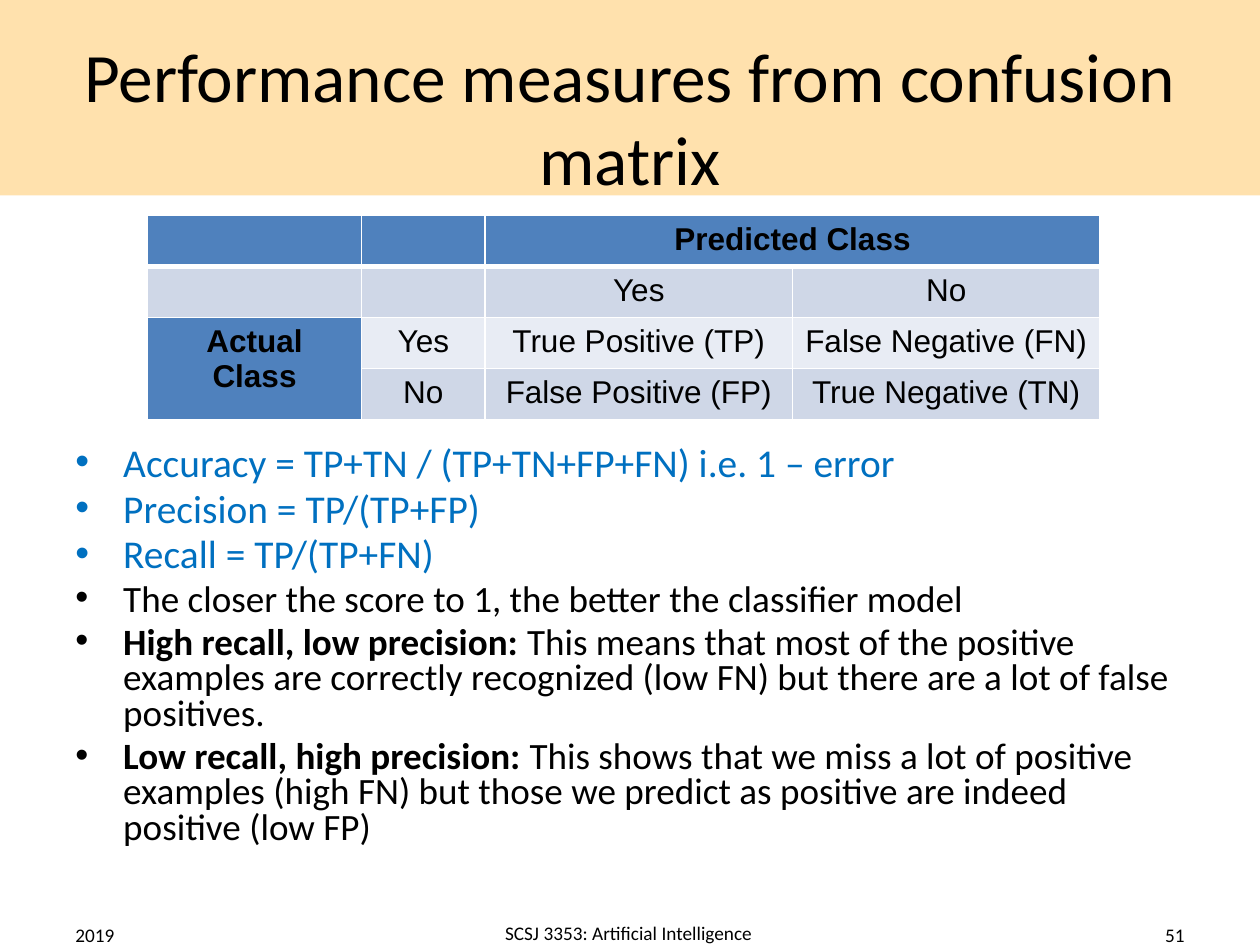
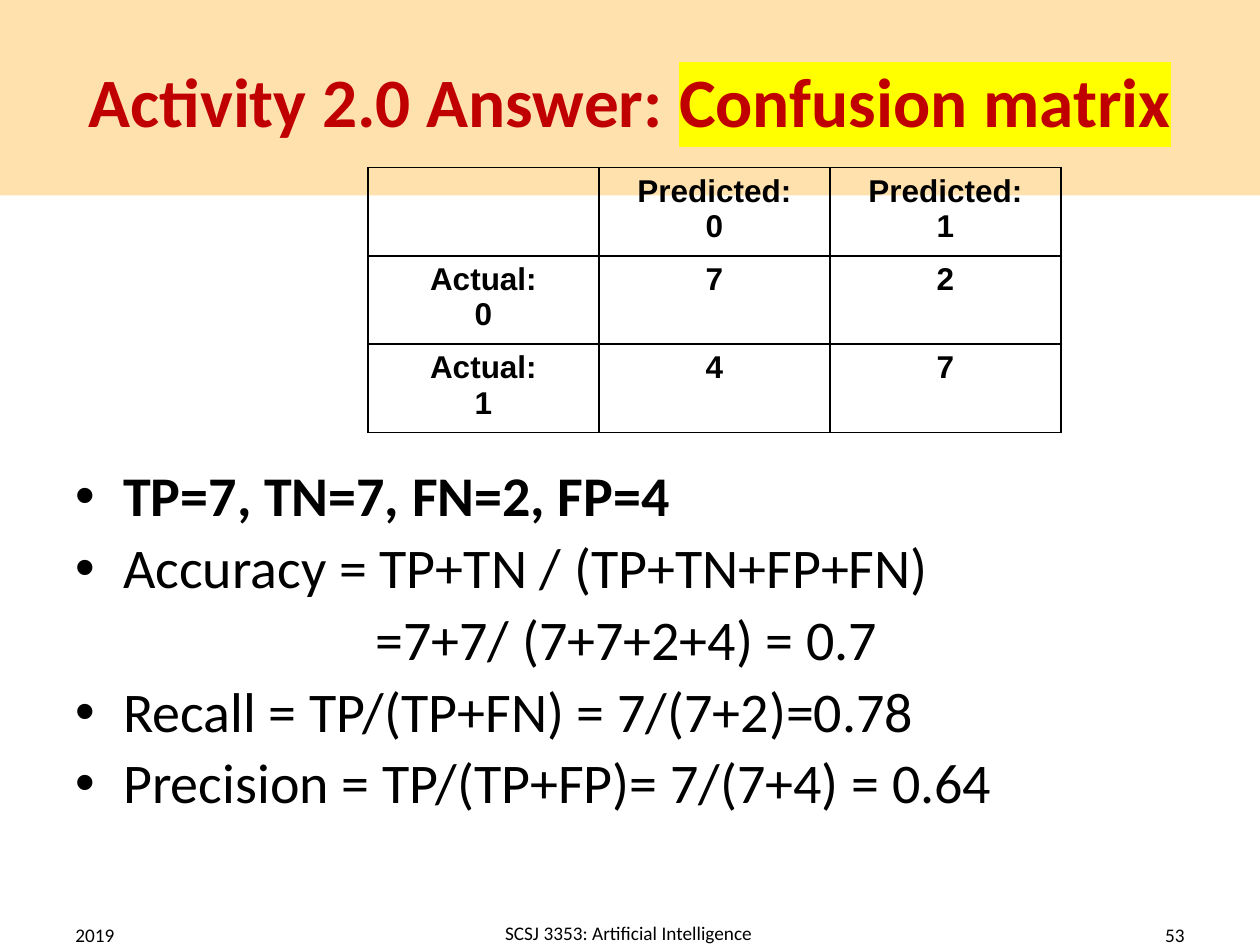
from dataclasses import dataclass

import lxml.etree
import pptx
import pptx.dml.color
import pptx.enum.shapes
import pptx.enum.text
import pptx.oxml
import pptx.oxml.ns
import pptx.util

Inches = pptx.util.Inches
Pt = pptx.util.Pt
qn = pptx.oxml.ns.qn
ALIGN = pptx.enum.text.PP_ALIGN
ANCHOR = pptx.enum.text.MSO_ANCHOR


@dataclass(frozen=True)
class Theme:
    """Colours, fonts and type sizes shared by the slides."""
    ink: str = "000000"
    paper: str = "FFFFFF"
    band: str = "FFE1AD"
    answer: str = "C00000"
    marker: str = "FFFF00"
    formula: str = "0070C0"
    header: str = "4F81BD"
    row_dark: str = "CFD7E7"
    row_light: str = "E8ECF4"
    text_font: str = "Calibri"
    table_font: str = "Arial"
    title_size: float = 39.6
    formula_size: float = 22.5
    note_size: float = 21.2
    answer_size: float = 32
    table_size: float = 18
    footer_size: float = 11
    hanging: float = 0.38


THEME = Theme()


def rgb(colour):
    """Turn a hex string into a colour."""
    return pptx.dml.color.RGBColor.from_string(colour)


def add_child(parent, tag, **attributes):
    """Append a drawing element with attributes."""
    return lxml.etree.SubElement(parent, qn(tag), attributes)


def write(paragraph, text, size, color=THEME.ink, font=THEME.text_font, bold=False, highlight=None):
    """Add a formatted run to a paragraph."""
    run = paragraph.add_run()
    run.text = text
    run.font.size = Pt(size)
    run.font.bold = bold
    run.font.color.rgb = rgb(color)
    run.font.name = font
    if highlight:
        properties = run.font._element
        mark = add_child(properties, "a:highlight")
        add_child(mark, "a:srgbClr", val=highlight)
        properties.find(qn("a:solidFill")).addnext(mark)


def add_frame(slide, box, anchor=ANCHOR.MIDDLE):
    """Add a wrapping text box and return its text frame."""
    frame = slide.shapes.add_textbox(*map(Inches, box)).text_frame
    frame.word_wrap = True
    frame.vertical_anchor = anchor
    return frame


def add_line(slide, box, runs, align=ALIGN.CENTER, **style):
    """Write one aligned paragraph of (text, overrides) runs in a box."""
    paragraph = add_frame(slide, box).paragraphs[0]
    paragraph.alignment = align
    for text, overrides in runs:
        write(paragraph, text, **{**style, **overrides})


def add_band(slide, box):
    """Draw the coloured band behind the title."""
    band = slide.shapes.add_shape(pptx.enum.shapes.MSO_SHAPE.RECTANGLE, *map(Inches, box))
    band.shadow.inherit = False
    band.fill.solid()
    band.fill.fore_color.rgb = rgb(THEME.band)
    band.line.fill.background()


def add_footer(slide, box, number):
    """Place year, course and slide number across a box."""
    left, top, width, height = box
    side = 2.33
    parts = [
        ("2019", (left, top, side, height), ALIGN.LEFT),
        ("SCSJ 3353: Artificial Intelligence", (left + 2.2, top + 0.02, 4.58, 0.33), ALIGN.CENTER),
        (str(number), (left + width - side, top, side, height), ALIGN.RIGHT),
    ]
    for text, part_box, align in parts:
        add_line(slide, part_box, [(text, {})], align, size=THEME.footer_size)


def set_indent(paragraph, left, first, bullet_color=None):
    """Indent a paragraph and give it a bullet if a colour is set."""
    properties = paragraph._p.get_or_add_pPr()
    properties.set("marL", str(Inches(left)))
    properties.set("indent", str(Inches(first)))
    if bullet_color:
        add_child(add_child(properties, "a:buClr"), "a:srgbClr", val=bullet_color)
        add_child(properties, "a:buFont", typeface="Arial")
        add_child(properties, "a:buChar", char="•")
    else:
        add_child(properties, "a:buNone")


def add_body(slide, box, items, line_spacing):
    """Write items of (runs, style, continuation indent) as a bulleted list."""
    frame = add_frame(slide, box, ANCHOR.TOP)
    for index, (runs, style, continued) in enumerate(items):
        paragraph = frame.add_paragraph() if index else frame.paragraphs[0]
        if continued:
            set_indent(paragraph, continued, 0)
        else:
            set_indent(paragraph, THEME.hanging, -THEME.hanging, style.get("color", THEME.ink))
        paragraph.line_spacing = line_spacing
        if index:
            paragraph.space_before = Pt(round(style["size"] * 0.2, 1))
        for text, bold in runs:
            write(paragraph, text, bold=bold, **style)


def set_borders(cell, color, top=1, bottom=1):
    """Draw the four borders of a cell."""
    properties = cell._tc.get_or_add_tcPr()
    for index, (side, width) in enumerate({"L": 1, "R": 1, "T": top, "B": bottom}.items()):
        border = add_child(properties, f"a:ln{side}", w=str(Pt(width)))
        add_child(add_child(border, "a:solidFill"), "a:srgbClr", val=color)
        properties.insert(index, border)


def add_matrix(slide, box, rows, widths):
    """Add an unstyled table of centred text and return it."""
    table = slide.shapes.add_table(len(rows), len(widths), *map(Inches, box)).table
    table.first_row = table.horz_banding = False
    for column, width in zip(table.columns, widths):
        column.width = Inches(width)
    for row, texts in zip(table.rows, rows):
        row.height = Inches(box[3] / len(rows))
        for cell, text in zip(row.cells, texts):
            cell.fill.background()
            frame = cell.text_frame
            for index, line in enumerate(text.split("\n") if text else []):
                paragraph = frame.add_paragraph() if index else frame.paragraphs[0]
                paragraph.alignment = ALIGN.CENTER
                bold = "Class" in text or len(widths) == 3
                write(paragraph, line, THEME.table_size, font=THEME.table_font, bold=bold)
    return table


def add_measures_matrix(slide, box):
    """Add the banded matrix that names the four outcomes."""
    rows = [
        ["", "", "Predicted Class", ""],
        ["", "", "Yes", "No"],
        ["Actual Class", "Yes", "True Positive (TP)", "False Negative (FN)"],
        ["", "No", "False Positive (FP)", "True Negative (TN)"],
    ]
    table = add_matrix(slide, box, rows, [1.7, 0.98, 2.44, 2.44])
    row_fills = [THEME.header, THEME.row_dark, THEME.row_light, THEME.row_dark]
    for row, fill in enumerate(row_fills):
        for column in range(len(rows[row])):
            cell = table.cell(row, column)
            cell.fill.solid()
            cell.fill.fore_color.rgb = rgb(THEME.header if row > 1 and column == 0 else fill)
            set_borders(cell, THEME.paper, top=3 if row == 1 else 1, bottom=3 if row == 0 else 1)
    table.cell(0, 2).merge(table.cell(0, 3))
    table.cell(2, 0).merge(table.cell(3, 0))


def add_answer_matrix(slide, box):
    """Add the ruled matrix with the counted outcomes."""
    rows = [
        ["", "Predicted:\n0", "Predicted:\n1"],
        ["Actual:\n0", "7", "2"],
        ["Actual:\n1", "4", "7"],
    ]
    table = add_matrix(slide, box, rows, [box[2] / 3] * 3)
    for cell in table.iter_cells():
        set_borders(cell, THEME.ink)


def add_slide(deck, title_top, title_runs, number, **title_style):
    """Add a slide with the shared band, title and footer."""
    slide = deck.slides.add_slide(deck.slide_layouts[6])
    add_band(slide, (0, 0, 10, 1.55))
    add_line(slide, (0.5, title_top, 9, 1.25), title_runs, size=THEME.title_size, **title_style)
    add_footer(slide, (0.5, 7.22, 9, 0.4), number)
    return slide


def build_measures(deck):
    """Build the slide that defines the performance measures."""
    slide = add_slide(deck, 0.3, [("Performance measures from confusion matrix", {})], 51)
    formula = {"size": THEME.formula_size, "color": THEME.formula}
    note = {"size": THEME.note_size}
    items = [
        ([("Accuracy = TP+TN / (TP+TN+FP+FN) i.e. 1 – error", False)], formula, None),
        ([("Precision = TP/(TP+FP)", False)], formula, None),
        ([("Recall = TP/(TP+FN)", False)], formula, None),
        ([("The closer the score to 1, the better the classifier model", False)], note, None),
        ([("High recall, low precision: ", True),
          ("This means that most of the positive examples are correctly recognized (low FN) "
           "but there are a lot of false positives.", False)], note, None),
        ([("Low recall, high precision: ", True),
          ("This shows that we miss a lot of positive examples (high FN) "
           "but those we predict as positive are indeed positive (low FP)", False)], note, None),
    ]
    add_body(slide, (0.5, 3.5, 9, 3.5), items, 0.8)
    add_measures_matrix(slide, (1.17, 1.71, 7.56, 1.62))


def build_answer(deck):
    """Build the slide that works out the activity."""
    title = [("Activity 2.0 Answer: ", {}), ("Confusion matrix", {"highlight": THEME.marker})]
    slide = add_slide(deck, 0.17, title, 53, color=THEME.answer, bold=True)
    style = {"size": THEME.answer_size}
    items = [
        ([("TP=7, TN=7, FN=2, FP=4", True)], style, None),
        ([("Accuracy = TP+TN / (TP+TN+FP+FN)", False)], style, None),
        ([("=7+7/ (7+7+2+4) = 0.7", False)], style, 2.38),
        ([("Recall = TP/(TP+FN) = 7/(7+2)=0.78", False)], style, None),
        ([("Precision = TP/(TP+FP)= 7/(7+4) = 0.64", False)], style, None),
    ]
    add_body(slide, (0.5, 3.67, 9, 3.03), items, 0.9)
    add_answer_matrix(slide, (2.92, 1.33, 5.5, 1.98))


def main():
    """Build and save the deck."""
    deck = pptx.Presentation()
    deck.slide_width = Inches(10)
    deck.slide_height = Inches(7.5)
    build_measures(deck)
    build_answer(deck)
    deck.save("out.pptx")


if __name__ == "__main__":
    main()
